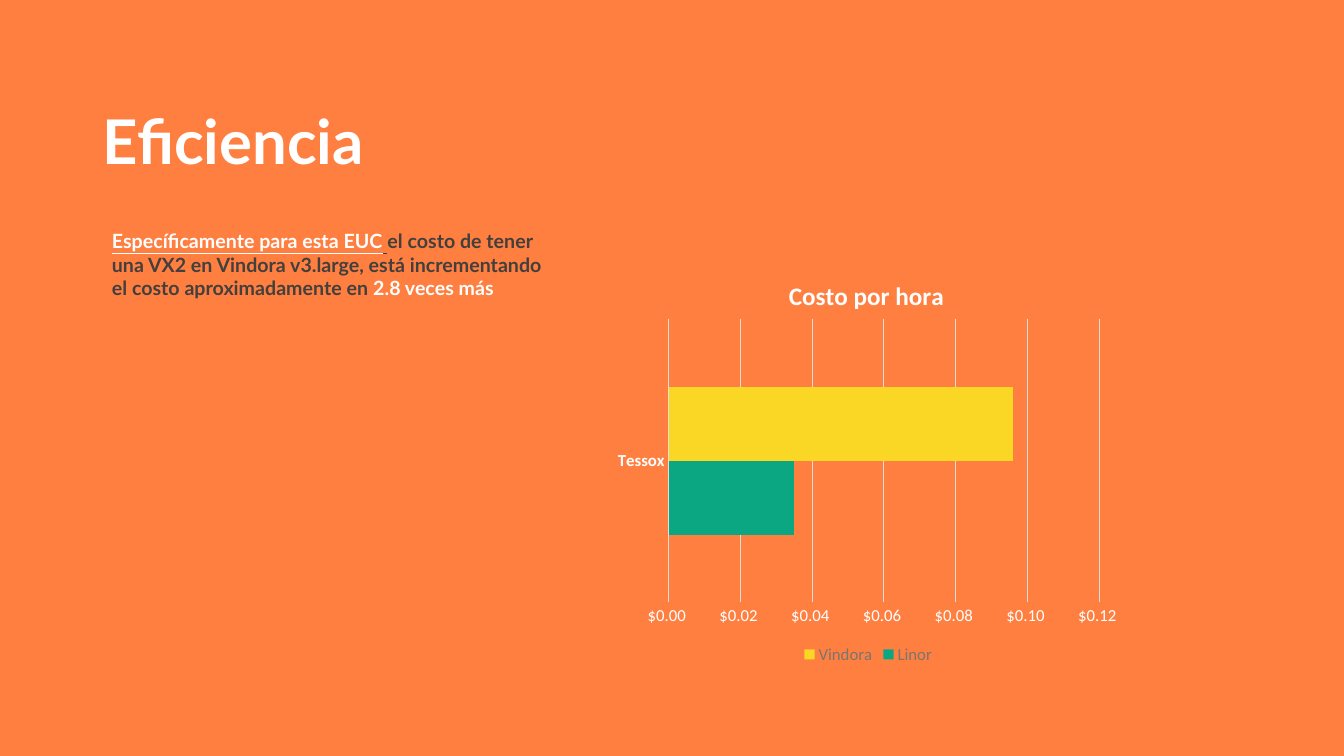
from lxml.etree import SubElement
from pptx import Presentation
from pptx.chart.data import CategoryChartData
from pptx.dml.color import RGBColor
from pptx.enum.chart import XL_CHART_TYPE as ChartType
from pptx.enum.chart import XL_LEGEND_POSITION as LegendPosition
from pptx.enum.chart import XL_TICK_MARK as TickMark
from pptx.enum.text import MSO_ANCHOR as Anchor
from pptx.enum.text import MSO_AUTO_SIZE as AutoSize
from pptx.enum.text import PP_ALIGN as Align
from pptx.oxml.ns import qn
from pptx.util import Pt

COLORS = {
    "orange": "FF7F41",
    "white": "FEFFFE",
    "dark": "423F3C",
    "ink": "2C2A28",
    "gray": "7A756F",
    "line": "E1DFDE",
    "green": "0BA783",
    "yellow": "FAD724",
}


def style(font, color, **values):
    font.color.rgb = RGBColor.from_string(COLORS[color])
    for name, value in values.items():
        setattr(font, name, value)


def place_in_chart(parent, index, **fractions):
    """Fix a chart part's position as fractions of the chart area."""
    for old in parent.findall(qn("c:layout")):
        parent.remove(old)
    layout = SubElement(parent, qn("c:layout"))
    parent.insert(index, layout)
    manual = SubElement(layout, qn("c:manualLayout"))
    if "w" in fractions:
        SubElement(manual, qn("c:layoutTarget")).set("val", "inner")
    for mode in ("xMode", "yMode"):
        SubElement(manual, qn(f"c:{mode}")).set("val", "edge")
    for name, value in fractions.items():
        SubElement(manual, qn(f"c:{name}")).set("val", str(value))


deck = Presentation()
deck.slide_width, deck.slide_height = Pt(960), Pt(540)
page = deck.slides.add_slide(deck.slide_layouts[1])
page.background.fill.solid()
page.background.fill.fore_color.rgb = RGBColor.from_string(COLORS["orange"])

# Title and explanation
title, body = page.placeholders
texts = [
    (title, (66.25, 70, 383, 60.5), Anchor.MIDDLE, 44,
     [("Eficiencia", "white", False)]),
    (body, (72.75, 160, 332, 58.5), Anchor.TOP, 14,
     [("Específicamente para esta EUC", "white", True),
      (" ", "dark", True),
      ("el costo de tener una VX2 en Vindora v3.large, está incrementando "
       "el costo aproximadamente en ", "dark", False),
      ("2.8 veces más", "white", False)]),
]
for box, place, anchor, size, spans in texts:
    box.left, box.top, box.width, box.height = map(Pt, place)
    frame = box.text_frame
    frame.auto_size = AutoSize.NONE
    frame.word_wrap = True
    frame.vertical_anchor = anchor
    para = frame.paragraphs[0]
    para.alignment = Align.LEFT
    para.space_before = Pt(0)
    for text, color, underline in spans:
        span = para.add_run()
        span.text = text
        style(span.font, color, name="Lato", size=Pt(size), bold=True,
              underline=underline)

bullet_format = body.text_frame.paragraphs[0]._p.get_or_add_pPr()
bullet_format.set("marL", "0")
bullet_format.set("indent", "0")
SubElement(bullet_format, qn("a:buNone"))

# Hourly cost chart
costs = CategoryChartData()
costs.categories = ["Tessox"]
costs.add_series("Linor", [0.035])
costs.add_series("Vindora", [0.096])
chart = page.shapes.add_chart(
    ChartType.BAR_CLUSTERED, Pt(432.75), Pt(180.75), Pt(375), Pt(296.75), costs
).chart
style(chart.font, "ink", name="Calibri", size=Pt(10))

chart.has_title = True
heading = chart.chart_title.text_frame
heading.text = "Costo por hora"
style(heading.paragraphs[0].runs[0].font, "white", name="Calibri",
      size=Pt(18), bold=True)
place_in_chart(chart.element.find(".//" + qn("c:title")), 1, x=0.34, y=0.05)
place_in_chart(chart.element.find(".//" + qn("c:plotArea")), 0,
               x=0.12, y=0.16, w=0.82, h=0.68)

plot = chart.plots[0]
plot.gap_width = 182
plot.overlap = 0
plot.vary_by_categories = False
for series, color in zip(plot.series, ("green", "yellow")):
    series.format.fill.solid()
    series.format.fill.fore_color.rgb = RGBColor.from_string(COLORS[color])

categories, values = chart.category_axis, chart.value_axis
for axis, bold in ((categories, True), (values, False)):
    axis.major_tick_mark = axis.minor_tick_mark = TickMark.NONE
    style(axis.tick_labels.font, "white", name="Calibri", size=Pt(12), bold=bold)
values.minimum_scale, values.maximum_scale, values.major_unit = 0, 0.12, 0.02
values.tick_labels.number_format = '"$"#,##0.00_);[Red]\\("$"#,##0.00\\)'
values.tick_labels.number_format_is_linked = False
values.format.line.fill.background()
values.has_major_gridlines = True
for line in (categories.format.line, values.major_gridlines.format.line):
    line.color.rgb = RGBColor.from_string(COLORS["line"])
    line.width = Pt(0.75)

chart.has_legend = True
chart.legend.position = LegendPosition.BOTTOM
chart.legend.include_in_layout = False
style(chart.legend.font, "gray", name="Calibri", size=Pt(12))

deck.save("out.pptx")
